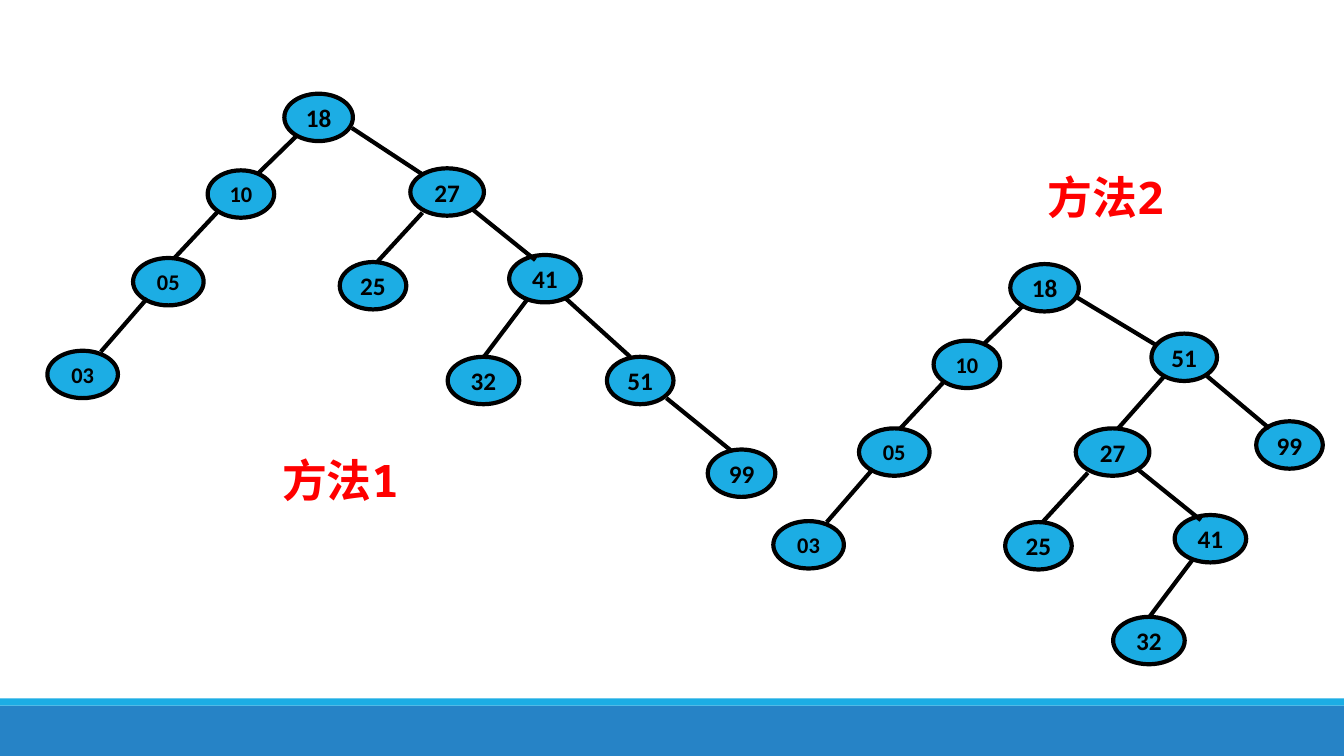
import pptx
import pptx.util
import pptx.dml.color
import pptx.enum.shapes
import pptx.enum.text
from lxml import etree

RGBColor = pptx.dml.color.RGBColor
BLUE = RGBColor(0x1C, 0xAD, 0xE4)
DARK_BLUE = RGBColor(0x26, 0x83, 0xC6)
BLACK = RGBColor(0x00, 0x00, 0x00)
RED = RGBColor(0xFF, 0x00, 0x00)
SHAPES = pptx.enum.shapes.MSO_SHAPE

# Slide grid: 1333 columns by 750 rows
COLS, ROWS = 1333, 750
prs = pptx.Presentation()
prs.slide_width = pptx.util.Inches(13.33)
prs.slide_height = pptx.util.Inches(7.5)
CELL = prs.slide_height // ROWS
s = prs.slides.add_slide(prs.slide_layouts[6])


def add_filled(kind, left, top, width, height, color):
    sp = s.shapes.add_shape(kind, left * CELL, top * CELL, width * CELL, height * CELL)
    sp.shadow.inherit = False
    sp.fill.solid()
    sp.fill.fore_color.rgb = color
    sp.line.fill.background()
    return sp


def format_text(p, size, font, color):
    f = p.runs[0].font
    f.size, f.name, f.bold = pptx.util.Pt(size), font, True
    f.color.rgb = color


# Footer bands
add_filled(SHAPES.RECTANGLE, 0, 700, COLS, 50, DARK_BLUE)
add_filled(SHAPES.RECTANGLE, 0, 693, COLS, 7, BLUE)

# Branches: nodes are (key, left, top, width), edges are (x1, y1, x2, y2)
small_keys = (
    [("18", 282, 93, 68), ("10", 206, 169, 66), ("05", 132, 256, 70), ("03", 47, 348, 70)],
    [(295, 134, 255, 173), (216, 210, 173, 256), (146, 296, 100, 349)],
)
middle_keys = (
    [("27", 407, 167, 73), ("25", 337, 260, 66), ("41", 505, 253, 71), ("32", 444, 354, 71)],
    [(419, 211, 374, 260), (469, 208, 531, 258), (523, 297, 480, 354)],
)
large_keys_1 = (
    [("51", 602, 354, 66), ("99", 702, 446, 67)],
    [(349, 127, 419, 173), (561, 296, 625, 354), (661, 395, 725, 447)],
)
large_keys_2 = (
    [("51", 1142, 331, 65), ("99", 1246, 418, 66)],
    [(1068, 295, 1146, 342), (1155, 373, 1109, 425), (1197, 373, 1259, 425)],
)

# Both trees share two branches, shifted by (dx, dy) in the second tree
placed_branches = [
    (small_keys, 0, 0), (middle_keys, 0, 0), (large_keys_1, 0, 0),
    (small_keys, 720, 169), (middle_keys, 660, 258), (large_keys_2, 0, 0),
]
NODE_HEIGHT = 47

# Nodes
for (nodes, edges), dx, dy in placed_branches:
    for key, left, top, width in nodes:
        sp = add_filled(SHAPES.OVAL, left + dx, top + dy, width, NODE_HEIGHT, BLUE)
        sp.line.color.rgb = BLACK
        sp.line.width = pptx.util.Pt(3)
        tf = sp.text_frame
        tf.text = key
        tf.word_wrap = False
        tf.vertical_anchor = pptx.enum.text.MSO_ANCHOR.MIDDLE
        p = tf.paragraphs[0]
        p.alignment = pptx.enum.text.PP_ALIGN.CENTER
        format_text(p, 16 if int(key) <= 10 else 18, "Calibri", BLACK)

# Edges
for (nodes, edges), dx, dy in placed_branches:
    for x1, y1, x2, y2 in edges:
        line = s.shapes.add_connector(
            pptx.enum.shapes.MSO_CONNECTOR.STRAIGHT,
            (x1 + dx) * CELL, (y1 + dy) * CELL, (x2 + dx) * CELL, (y2 + dy) * CELL)
        line.line.color.rgb = BLACK
        line.line.width = pptx.util.Pt(3)
        etree.SubElement(line.element.spPr, pptx.oxml.ns.qn("a:effectLst"))

# Tree captions
for caption, left, top in [("方法1", 270, 444), ("方法2", 1029, 163)]:
    tf = s.shapes.add_textbox(left * CELL, top * CELL, 207 * CELL, 64 * CELL).text_frame
    tf.text = caption
    tf.word_wrap = True
    tf.auto_size = pptx.enum.text.MSO_AUTO_SIZE.SHAPE_TO_FIT_TEXT
    format_text(tf.paragraphs[0], 32, "Noto Sans Mono", RED)

prs.save("out.pptx")
